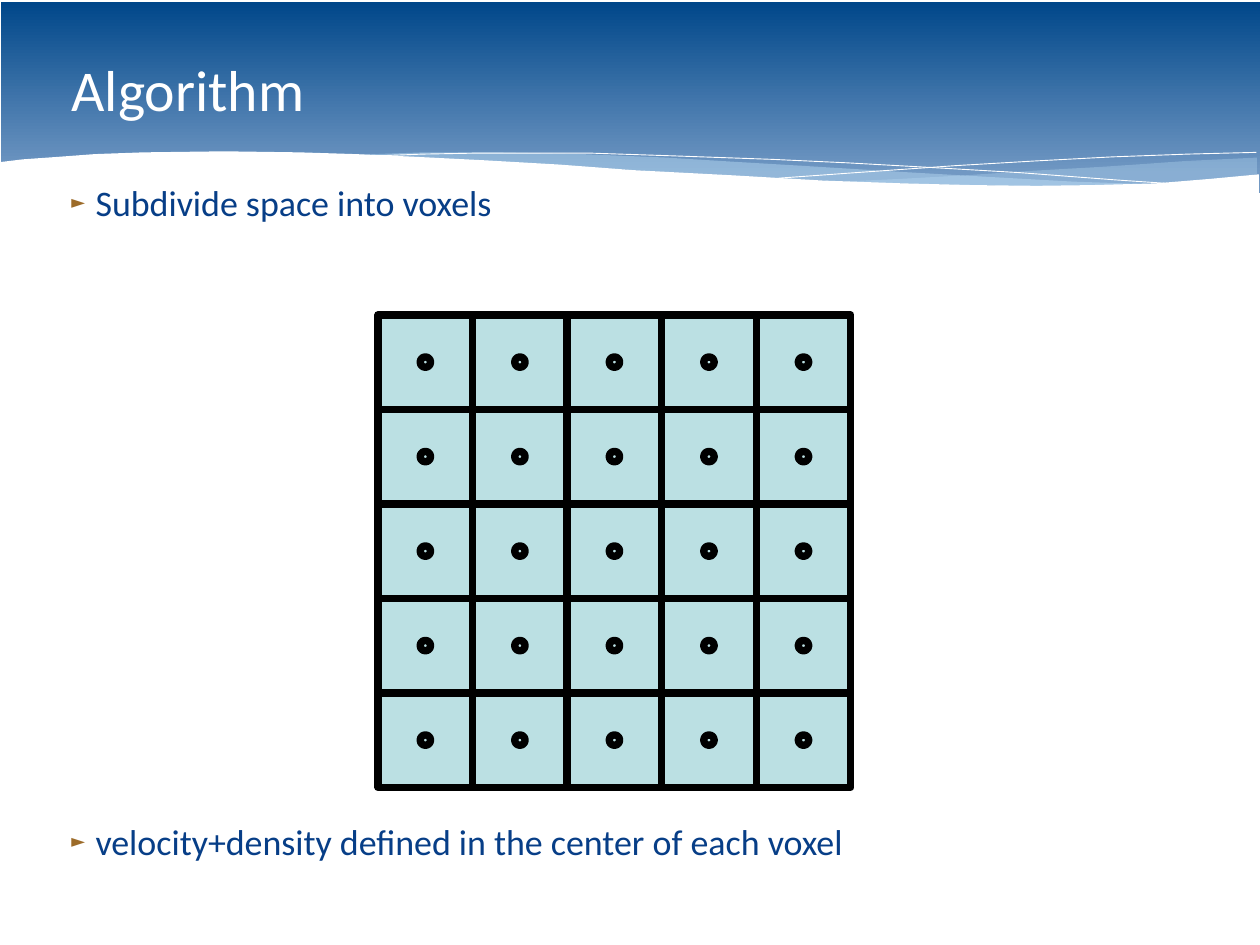
"""Builds the slide on subdividing space into voxels."""
from itertools import product

from lxml.etree import SubElement
from pptx import Presentation
from pptx.dml.color import RGBColor
from pptx.enum.shapes import MSO_SHAPE as Preset
from pptx.enum.text import MSO_ANCHOR as Anchor
from pptx.oxml.ns import qn
from pptx.util import Cm, Pt

RIGHT_RIBBON = [
    (36.03, 4.52), (35, 4.57), (33.96, 4.62), (32.84, 4.7), (31.67, 4.78), (29.57, 4.9),
    (27.64, 5.03), (25.83, 5.13), (24.13, 5.21), (25.78, 5.26), (27.76, 5.31), (29.92, 5.34),
    (32.11, 5.31), (33.66, 5.23), (35.03, 5.13), (36.03, 5)]
MIDDLE_RIBBON = [
    (32.89, 5.28), (30.78, 5.21), (28.45, 5.08), (25.83, 4.93), (22.91, 4.75), (21.21, 4.65),
    (19.08, 4.52), (16.69, 4.42), (14.22, 4.37), (12.14, 4.37), (9.96, 4.45), (12.07, 4.52),
    (14.43, 4.65), (17.68, 4.85), (20.55, 5.03), (23.11, 5.16), (25.4, 5.26), (27.43, 5.31),
    (29.24, 5.34), (31.19, 5.34)]
FALLING_LINE = [
    (10.82, 4.47), (12.12, 4.42), (13.77, 4.39), (16.87, 4.39), (19.28, 4.47), (22.12, 4.57),
    (24.28, 4.67), (26.62, 4.8), (29.21, 4.95), (31.98, 5.16), (33.45, 5.26)]
RISING_LINE = [
    (22.33, 5.11), (24.56, 4.95), (27.41, 4.75), (29.62, 4.62), (31.88, 4.5), (34.06, 4.42),
    (36.02, 4.37)]
WHITE_WAVE = [
    (36.09, 5), (34.7, 5.13), (33.12, 5.26), (31.29, 5.31), (29.72, 5.33), (27.91, 5.31),
    (25.91, 5.26), (23.62, 5.18), (21.03, 5.03), (18.16, 4.88), (16.03, 4.72), (13.92, 4.6),
    (11.96, 4.5), (10.19, 4.42), (8.59, 4.37), (6.43, 4.34), (4.11, 4.37), (2.72, 4.42),
    (1.65, 4.5), (0.66, 4.57), (0, 4.65), (0, 5.87), (36.09, 5.87)]


def color(code):
    return RGBColor.from_string(code)


class SlideArtist:
    font = "Calibri"
    white = "FFFFFF"
    black = "000000"
    pale = "C6E7FC"
    voxel = "BBE0E3"
    navy = "073E87"
    bronze = "9C6B29"

    def __init__(self, page):
        self.page = page

    def shape(self, preset, left, top, width, height):
        shape = self.page.shapes.add_shape(preset, Cm(left), Cm(top), Cm(width), Cm(height))
        shape.shadow.inherit = False
        return shape

    def gradient_band(self, left, top, width, height, stops):
        band = self.shape(Preset.RECTANGLE, left, top, width, height)
        band.line.fill.background()
        band.fill.gradient()
        band.fill.gradient_angle = 270
        for stop, (position, code) in zip(band.fill.gradient_stops, stops):
            stop.position = position
            stop.color.rgb = color(code)

    def outline(self, points, closed):
        (x, y), *others = [(Cm(x), Cm(y)) for x, y in points]
        builder = self.page.shapes.build_freeform(x, y)
        builder.add_line_segments(others, close=closed)
        shape = builder.convert_to_shape()
        shape.shadow.inherit = False
        return shape

    def wave(self, points, code, opacity=100):
        wave = self.outline(points, True)
        wave.line.fill.background()
        wave.fill.solid()
        wave.fill.fore_color.rgb = color(code)
        if opacity < 100:
            tint = wave.fill._xPr.find(".//" + qn("a:srgbClr"))
            SubElement(tint, qn("a:alpha"), val=str(opacity * 1000))

    def hairline(self, points):
        curve = self.outline(points, False)
        curve.fill.background()
        curve.line.color.rgb = color(self.white)
        curve.line.width = Pt(0)

    def cell_part(self, preset, center_x, center_y, size):
        part = self.shape(preset, center_x - size / 2, center_y - size / 2, size, size)
        part.fill.solid()
        part.fill.fore_color.rgb = color(self.voxel)
        part.line.color.rgb = color(self.black)
        part.line.width = Pt(6)

    def voxel_grid(self, left, top, cell, count, dot):
        for row, column in product(range(count), repeat=2):
            x, y = left + (column + 0.5) * cell, top + (row + 0.5) * cell
            self.cell_part(Preset.RECTANGLE, x, y, cell)
            self.cell_part(Preset.OVAL, x, y, dot)

    def text_frame(self, left, top, width, height, anchor):
        box = self.page.shapes.add_textbox(Cm(left), Cm(top), Cm(width), Cm(height))
        frame = box.text_frame
        frame.word_wrap = True
        frame.vertical_anchor = anchor
        return frame

    def span(self, para, text, size, code):
        span = para.add_run()
        span.text = text
        span.font.name = self.font
        span.font.size = Pt(size)
        span.font.color.rgb = color(code)

    def title(self, text, *place):
        frame = self.text_frame(*place, Anchor.MIDDLE)
        self.span(frame.paragraphs[0], text, 46.9, self.white)

    def bullet(self, para):
        props = para._p.get_or_add_pPr()
        props.set("marL", str(Cm(0.69)))
        props.set("indent", str(-Cm(0.69)))
        SubElement(SubElement(props, qn("a:buClr")), qn("a:srgbClr"), val=self.bronze)
        SubElement(props, qn("a:buSzPct"), val="50000")
        SubElement(props, qn("a:buFont"), typeface=self.font)
        SubElement(props, qn("a:buChar"), char="►")

    def bullets(self, texts, gap, *place):
        frame = self.text_frame(*place, Anchor.TOP)
        for index, text in enumerate(texts):
            para = frame.add_paragraph() if index else frame.paragraphs[0]
            self.bullet(para)
            if index:
                para.space_before = Cm(gap)
            self.span(para, text, 29.2, self.navy)


def main():
    deck = Presentation()
    deck.slide_width, deck.slide_height = Cm(36.12), Cm(27.1)
    artist = SlideArtist(deck.slides.add_slide(deck.slide_layouts[6]))
    artist.gradient_band(0.03, 0.05, 36.09, 5.49, [(0, "00478A"), (0.9, "7198C3")])
    artist.wave(RIGHT_RIBBON, artist.pale, 29)
    artist.wave(MIDDLE_RIBBON, artist.pale, 40)
    artist.hairline(FALLING_LINE)
    artist.hairline(RISING_LINE)
    artist.wave(WHITE_WAVE, artist.white)
    artist.title("Algorithm", 1.8, 0.58, 32.51, 3.94)
    artist.bullets(["Subdivide space into voxels",
                    "velocity+density defined in the center of each voxel"],
                   17.1, 1.8, 5.05, 32.51, 20.04)
    artist.voxel_grid(10.84, 9.03, 2.71, 5, 0.3)
    deck.save("out.pptx")


if __name__ == "__main__":
    main()
